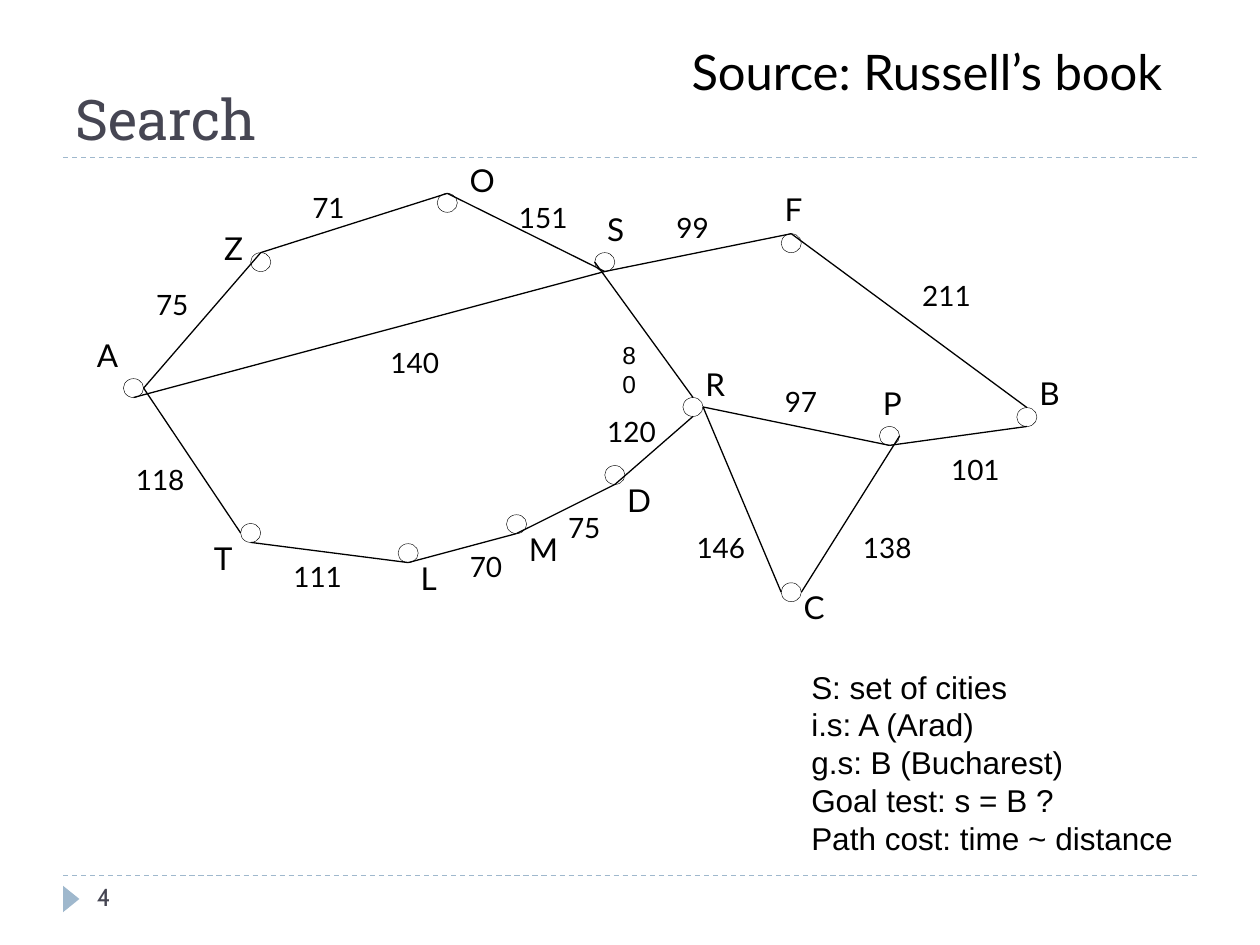
from lxml import etree
from pptx import Presentation
from pptx.dml.color import RGBColor
from pptx.enum.dml import MSO_LINE
from pptx.enum.shapes import MSO_CONNECTOR, MSO_SHAPE
from pptx.enum.text import MSO_ANCHOR
from pptx.oxml.ns import qn
from pptx.util import Inches, Pt

LINE = MSO_CONNECTOR.STRAIGHT
OVAL, WEDGE = MSO_SHAPE.OVAL, MSO_SHAPE.ISOSCELES_TRIANGLE
TOP, BOTTOM = MSO_ANCHOR.TOP, MSO_ANCHOR.BOTTOM
DASH = MSO_LINE.DASH

COLORS = {"ink": "000000", "title": "464653", "accent": "9FB8CD"}

# City: centre of its circle, then left and top of its label
CITIES = {
    "A": (1.06, 3.08, 0.67, 2.62),
    "T": (1.99, 4.23, 1.6, 4.23),
    "R": (5.5, 3.23, 5.5, 2.85),
    "C": (6.28, 4.7, 6.28, 4.62),
    "P": (7.06, 3.46, 6.91, 3),
    "B": (8.15, 3.31, 8.15, 2.92),
    "F": (6.28, 1.93, 6.13, 1.46),
    "S": (4.8, 2.08, 4.72, 1.62),
    "O": (3.55, 1.61, 3.63, 1.23),
    "Z": (2.07, 2.08, 1.68, 1.77),
    "D": (4.88, 3.77, 4.88, 3.77),
    "M": (4.1, 4.16, 4.1, 4.16),
    "L": (3.24, 4.39, 3.24, 4.39),
}
# Road: each end is a city and the side of its circle; cost, label left and top
ROADS = [
    ("Ae", "Zn", "75", 1.14, 2.23),
    ("Zn", "On", "71", 2.38, 1.46),
    ("On", "Ss", "151", 4.02, 1.54),
    ("As", "Ss", "140", 3, 2.69),
    ("Ps", "Bs", "101", 7.45, 3.54),
    ("Re", "Ps", "97", 6.13, 3),
    ("Ce", "Pe", "138", 6.75, 4.16),
    ("Cw", "Re", "146", 5.43, 4.16),
    ("Ds", "Rs", "120", 4.72, 3.24),
    ("Ms", "Ds", "75", 4.41, 4),
    ("Ls", "Ms", "70", 3.63, 4.31),
    ("Tw", "Ae", "118", 0.98, 3.62),
    ("Ts", "Ls", "111", 2.23, 4.39),
    ("Rn", "Sw", "80", 4.84, 2.65),
    ("Ss", "Fn", "99", 5.27, 1.62),
    ("Fn", "Bn", "211", 7.22, 2.16),
]
PROBLEM = [
    "S: set of cities",
    "i.s: A (Arad)",
    "g.s: B (Bucharest)",
    "Goal test: s = B ?",
    "Path cost: time ~ distance",
]
WIDE, HIGH = 0.16, 0.15
SIDES = {"n": (0, -HIGH / 2), "s": (0, HIGH / 2),
         "e": (WIDE / 2, 0), "w": (-WIDE / 2, 0)}

deck = Presentation()
deck.slide_width, deck.slide_height = Inches(10), Inches(7.5)
slide = deck.slides.add_slide(deck.slide_layouts[6])
shapes = slide.shapes


def color(name):
    return RGBColor.from_string(COLORS[name])


def add_text(lines, box, size, font, ink="ink", anchor=TOP, wrap=True):
    frame = shapes.add_textbox(*map(Inches, box)).text_frame
    frame.word_wrap = wrap
    frame.vertical_anchor = anchor
    for i, line in enumerate(lines):
        para = frame.paragraphs[0] if i == 0 else frame.add_paragraph()
        run = para.add_run()
        run.text = line
        run.font.size = Pt(size)
        run.font.name = font
        run.font.color.rgb = color(ink)


def add_line(start, end, ink="ink", dash=None):
    line = shapes.add_connector(LINE, *map(Inches, (*start, *end)))
    line.line.color.rgb = color(ink)
    line.line.width = Pt(0.75)
    if dash:
        line.line.dash_style = dash
    etree.SubElement(line._element.spPr, qn("a:effectLst"))


def port(end):
    city, side = end
    x, y = CITIES[city][:2]
    dx, dy = SIDES[side]
    return x + dx, y + dy


# Rules and page number
for y in (6.95, 1.25):
    add_line((0.5, y), (9.5, y), "accent", DASH)
mark = shapes.add_shape(WEDGE, *map(Inches, (0.46, 7.07, 0.21, 0.13)))
mark.rotation = 90
mark.shadow.inherit = False
mark.fill.solid()
mark.fill.fore_color.rgb = color("accent")
mark.line.fill.background()
add_text(["4"], (0.67, 6.95, 2.17, 0.4), 14, "Cabin", "title")

# Title, source and problem statement
add_text(["Search"], (0.5, 0.17, 9, 1.08), 32, "Roboto Slab", "title", BOTTOM)
add_text(["Source: Russell’s book"], (5.39, 0.28, 4.07, 1.04), 28, "Lato")
add_text(PROBLEM, (6.34, 5.25, 3.29, 1.6), 18, "Arial")

# Cities
for x, y, *_ in CITIES.values():
    box = (x - WIDE / 2, y - HIGH / 2, WIDE, HIGH)
    dot = shapes.add_shape(OVAL, *map(Inches, box))
    dot.shadow.inherit = False
    dot.fill.background()
    dot.line.color.rgb = color("ink")
    dot.line.width = Pt(0.25)

# Roads
for start, end, *_ in ROADS:
    add_line(port(start), port(end))

# Labels
for city, (_, _, x, y) in CITIES.items():
    add_text([city], (x, y, 0.47, 0.4), 18, "Lato")
for _, _, cost, x, y in ROADS:
    if cost == "80":
        add_text([cost], (x, y, 0.41, 0.34), 14, "Arial", wrap=False)
    else:
        add_text([cost], (x, y, 0.62, 0.37), 16, "Lato")

deck.save("out.pptx")
